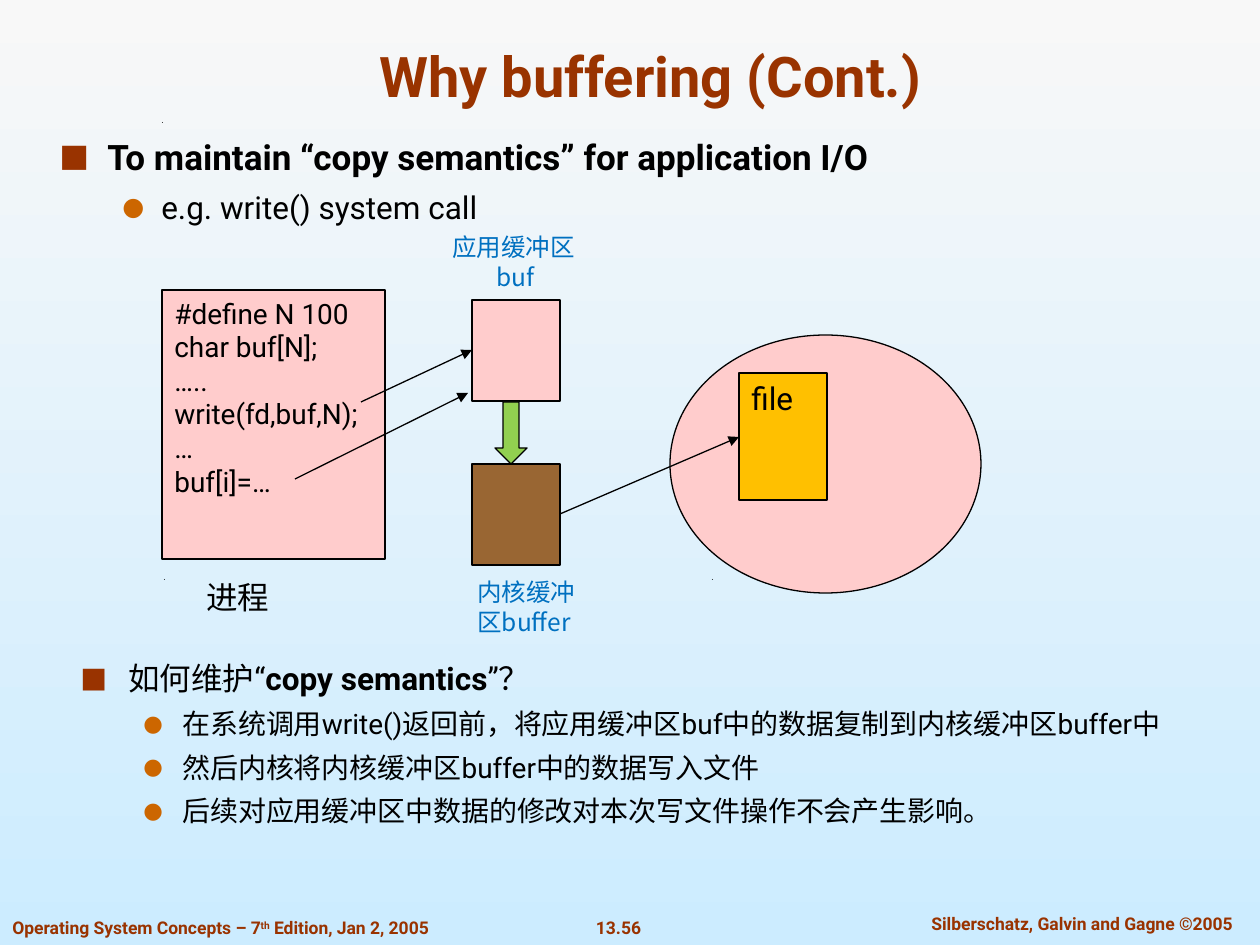
from dataclasses import dataclass
from typing import NamedTuple

from pptx import Presentation
from pptx import util as u
from pptx.dml.color import RGBColor
from pptx.enum import shapes, text
from pptx.oxml import parse_xml
from pptx.oxml.ns import nsdecls, qn

EMU_PER_PX = 914400 / 126


@dataclass(frozen=True)
class Theme:
    latin: str = "Roboto"
    chinese: str = "Noto Sans CJK SC"
    sky_top: str = "F8F8F8"
    sky_bottom: str = "CCECFF"
    heading: str = "993300"
    dot: str = "CC6600"
    ink: str = "000000"
    label: str = "0070C0"
    pink: str = "FFCCCC"
    brown: str = "996633"
    gold: str = "FFC000"
    green: str = "92D050"
    title_size: int = 32
    lead_size: int = 20
    body_size: int = 18
    code_size: int = 16
    label_size: int = 14
    footer_size: int = 10
    line_width: float = 0.75


THEME = Theme()
LEFT, CENTER = text.PP_ALIGN.LEFT, text.PP_ALIGN.CENTER
TOP, BOTTOM = text.MSO_ANCHOR.TOP, text.MSO_ANCHOR.BOTTOM
SHAPE = shapes.MSO_SHAPE


class Area(NamedTuple):
    left: int
    top: int
    width: int
    height: int


@dataclass(frozen=True)
class Style:
    size: int
    color: str = THEME.ink
    font: str = THEME.latin
    bold: bool = False
    align: text.PP_ALIGN = LEFT
    anchor: text.MSO_ANCHOR = TOP
    wrap: bool = True


@dataclass(frozen=True)
class Block:
    kind: shapes.MSO_SHAPE
    area: Area
    fill: str
    words: str = ""
    size: int = THEME.body_size


class Bullet(NamedTuple):
    level: int
    size: int
    phrases: tuple[tuple[str, bool], ...]


class Arrow(NamedTuple):
    start: tuple[int, int]
    end: tuple[int, int]


def px(value: float) -> u.Emu:
    return u.Emu(round(value * EMU_PER_PX))


def rgb(color: str) -> RGBColor:
    return RGBColor.from_string(color)


def format_span(span, style: Style) -> None:
    font = span.font
    font.name, font.size, font.bold = style.font, u.Pt(style.size), style.bold
    font.color.rgb = rgb(style.color)
    span._r.get_or_add_rPr().find(qn("a:latin")).addnext(
        parse_xml(f'<a:ea {nsdecls("a")} typeface="{style.font}"/>'))


def write_text(frame, words: str, style: Style) -> None:
    frame.text = words
    frame.word_wrap, frame.vertical_anchor = style.wrap, style.anchor
    for para in frame.paragraphs:
        para.alignment = style.align
        for span in para.runs:
            format_span(span, style)


def add_text(page, area: Area, words: str, style: Style):
    box = page.shapes.add_textbox(*map(px, area))
    write_text(box.text_frame, words, style)
    return box.text_frame


def add_bullets(page, area: Area, bullets: list[Bullet]) -> None:
    marks = [("■", THEME.heading, 90, 48, 48), ("●", THEME.dot, 80, 102, 39)]
    frame = add_text(page, area, "", Style(THEME.body_size))
    for index, bullet in enumerate(bullets):
        para = frame.add_paragraph() if index else frame.paragraphs[0]
        mark, color, scale, margin, hang = marks[bullet.level]
        para.level = bullet.level
        if index:
            para.space_before = u.Pt(round(0.35 * bullet.size, 1))
        props = para._p.get_or_add_pPr()
        props.set("marL", str(px(margin)))
        props.set("indent", str(-px(hang)))
        for element in (f'<a:buClr {nsdecls("a")}><a:srgbClr val="{color}"/></a:buClr>',
                        f'<a:buSzPct {nsdecls("a")} val="{scale * 1000}"/>',
                        f'<a:buFont {nsdecls("a")} typeface="{THEME.latin}"/>',
                        f'<a:buChar {nsdecls("a")} char="{mark}"/>'):
            props.append(parse_xml(element))
        for words, bold in bullet.phrases:
            span = para.add_run()
            span.text = words
            format_span(span, Style(bullet.size, bold=bold))


def add_block(page, block: Block) -> None:
    shape = page.shapes.add_shape(block.kind, *map(px, block.area))
    shape.shadow.inherit = False
    shape.fill.solid()
    shape.fill.fore_color.rgb = rgb(block.fill)
    shape.line.color.rgb = rgb(THEME.ink)
    shape.line.width = u.Pt(THEME.line_width)
    if block.words:
        write_text(shape.text_frame, block.words, Style(block.size, wrap=False))


def add_arrow(page, arrow: Arrow) -> None:
    line = page.shapes.add_connector(
        shapes.MSO_CONNECTOR.STRAIGHT, *map(px, arrow.start + arrow.end))
    line.line.color.rgb = rgb(THEME.ink)
    line.line.width = u.Pt(THEME.line_width)
    line.line._get_or_add_ln().append(
        parse_xml(f'<a:tailEnd {nsdecls("a")} type="triangle"/>'))
    line._element.spPr.append(parse_xml(f'<a:effectLst {nsdecls("a")}/>'))


def add_speck(page, left: int, top: int) -> None:
    builder = page.shapes.build_freeform(left, top + 1, scale=EMU_PER_PX)
    builder.add_line_segments([(left + 1, top), (left + 1, top + 1)])
    speck = builder.convert_to_shape()
    speck.shadow.inherit = False
    speck.fill.solid()
    speck.fill.fore_color.rgb = rgb(THEME.ink)
    speck.line.fill.background()


def main() -> None:
    deck = Presentation()
    deck.slide_width, deck.slide_height = px(1260), px(945)
    page = deck.slides.add_slide(deck.slide_layouts[6])

    # Background
    sky = page.background.fill
    sky.gradient()
    sky.gradient_angle = 270
    for stop, color in zip(sky.gradient_stops, (THEME.sky_top, THEME.sky_bottom)):
        stop.color.rgb = rgb(color)
    for position in [(222, 683), (164, 579), (712, 579), (162, 122)]:
        add_speck(page, *position)

    # Footer
    footer = Style(THEME.footer_size, THEME.heading, bold=True, wrap=False)
    centered = Style(THEME.footer_size, THEME.heading, bold=True, align=CENTER)
    add_text(page, Area(583, 911, 71, 34), "13.56", centered)
    add_text(page, Area(895, 907, 374, 34), "Silberschatz, Galvin and Gagne ©2005", centered)
    edition = add_text(page, Area(0, 911, 465, 34), "Operating System Concepts – 7", footer)
    for words, baseline in (("th", "30000"), (" Edition, Jan 2, 2005", "0")):
        span = edition.paragraphs[0].add_run()
        span.text = words
        format_span(span, footer)
        span._r.get_or_add_rPr().set("baseline", baseline)

    # Title and bullets
    add_text(page, Area(94, 31, 1113, 84), "Why buffering (Cont.)",
             Style(THEME.title_size, THEME.heading, bold=True, align=CENTER, anchor=BOTTOM))
    add_bullets(page, Area(47, 129, 1160, 123), [
        Bullet(0, THEME.lead_size, (("To maintain “copy semantics” for application I/O", True),)),
        Bullet(1, THEME.body_size, (("e.g. write() system call", False),))])
    steps = ("在系统调用write()返回前，将应用缓冲区buf中的数据复制到内核缓冲区buffer中",
             "然后内核将内核缓冲区buffer中的数据写入文件",
             "后续对应用缓冲区中数据的修改对本次写文件操作不会产生影响。")
    question = (("如何维护“", False), ("copy semantics", True), ("”？", False))
    add_bullets(page, Area(68, 653, 1160, 189), [
        Bullet(0, THEME.body_size, question),
        *(Bullet(1, THEME.code_size, ((step, False),)) for step in steps)])

    # Process, buffers and file
    code = "#define N 100\nchar buf[N];\n…..\nwrite(fd,buf,N);\n…\nbuf[i]=…"
    for block in (
            Block(SHAPE.FLOWCHART_PROCESS, Area(162, 290, 223, 269), THEME.pink, code, THEME.code_size),
            Block(SHAPE.FLOWCHART_PROCESS, Area(472, 300, 88, 101), THEME.pink),
            Block(SHAPE.OVAL, Area(670, 335, 311, 258), THEME.pink),
            Block(SHAPE.RECTANGLE, Area(739, 373, 88, 127), THEME.gold, "file"),
            Block(SHAPE.FLOWCHART_PROCESS, Area(472, 464, 88, 101), THEME.brown),
            Block(SHAPE.DOWN_ARROW, Area(495, 402, 32, 62), THEME.green)):
        add_block(page, block)
    for arrow in (Arrow((361, 402), (472, 350)), Arrow((560, 514), (739, 437)),
                  Arrow((295, 479), (468, 393))):
        add_arrow(page, arrow)

    # Labels
    label = Style(THEME.label_size, THEME.label, THEME.chinese)
    add_text(page, Area(194, 572, 101, 50), "进程", Style(THEME.body_size, font=THEME.chinese))
    add_text(page, Area(465, 571, 127, 72), "内核缓冲区buffer", label)
    user_buffer = add_text(page, Area(440, 226, 151, 72), "应用缓冲区\nbuf", label)
    user_buffer.paragraphs[1].alignment = CENTER

    deck.save("out.pptx")


if __name__ == "__main__":
    main()
